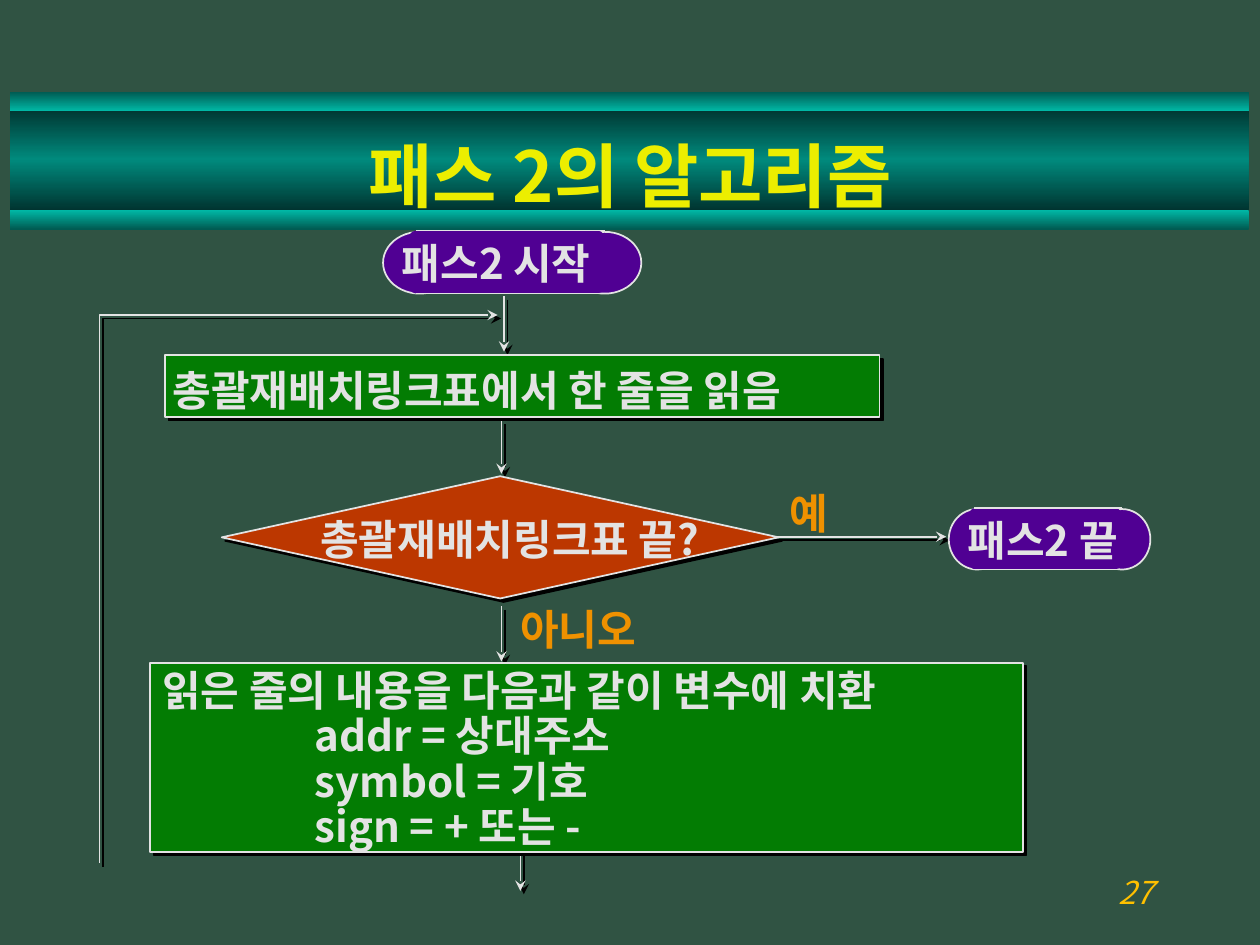
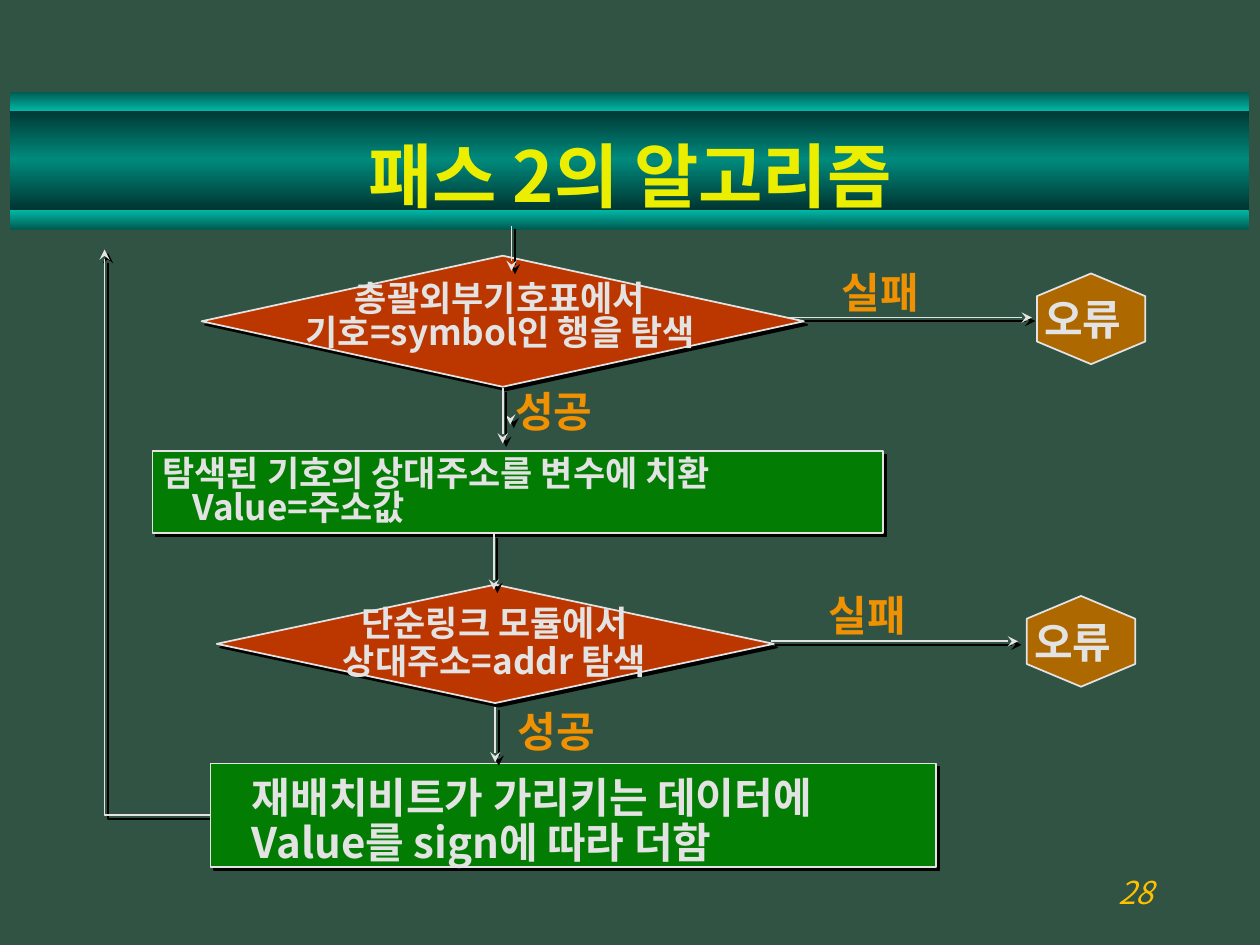
from dataclasses import dataclass

from lxml import etree
from pptx import Presentation
from pptx import util as u
from pptx.dml.color import RGBColor
from pptx.enum import shapes, text
from pptx.oxml import ns

SHAPE = shapes.MSO_SHAPE
ALIGN = text.PP_ALIGN
Inches = u.Inches


@dataclass(frozen=True)
class Theme:
    font: str = "Noto Sans CJK KR"
    background: str = "305343"
    ink: str = "E3E3E3"
    title: str = "ECEE00"
    number: str = "FFC000"
    answer: str = "EF9100"
    process: str = "037C03"
    decision: str = "BC3700"
    terminal: str = "500093"
    error: str = "AD6900"
    shadow: str = "000000"
    band: tuple = ((0, "00322E"), (50, "008A7D"), (100, "00322E"))
    upper_edge: tuple = ((0, "005B52"), (100, "00B7A5"))
    lower_edge: tuple = ((0, "00B7A5"), (100, "005B52"))
    title_size: int = 40
    body_size: int = 24
    small_size: int = 20
    number_size: int = 18


def rgb(value):
    return RGBColor.from_string(value)


def sub(parent, tag, **attrs):
    return etree.SubElement(parent, ns.qn(tag), **attrs)


class FlowSlide:
    """Draws flowchart elements on one slide in the shared style."""

    def __init__(self, prs, theme, title, number):
        self.theme = theme
        self.s = prs.slides.add_slide(prs.slide_layouts[6])
        fill = self.s.background.fill
        fill.solid()
        fill.fore_color.rgb = rgb(theme.background)
        # Title bands
        self.band(0.85, 0.83, theme.band)
        self.band(1.67, 0.15, theme.lower_edge)
        self.band(0.73, 0.15, theme.upper_edge)
        # Title and slide number
        middle = text.MSO_ANCHOR.MIDDLE
        self.text(0.75, 0.98, 8.5, 0.81, [title], theme.title_size, theme.title,
                  align=ALIGN.CENTER, spacing=1, anchor=middle)
        self.text(7.17, 6.83, 2.08, 0.5, [str(number)], theme.number_size, theme.number,
                  align=ALIGN.RIGHT, spacing=1, anchor=middle, heading=False)

    def band(self, top, height, stops):
        sp = self.shape(SHAPE.RECTANGLE, 0.08, top, 9.83, height, outline=False)
        sp.fill.gradient()
        sp.fill.gradient_angle = 270
        gs_list = next(sp.element.spPr.iter(ns.qn("a:gsLst")))
        for gs in list(gs_list):
            gs_list.remove(gs)
        for position, color in stops:
            gs = sub(gs_list, "a:gs", pos=str(position * 1000))
            sub(gs, "a:srgbClr", val=color)

    def add_shadow(self, effects):
        outer = sub(effects, "a:outerShdw", blurRad="0", dist=str(u.Pt(2.8)),
                    dir="2700000", algn="ctr", rotWithShape="0")
        sub(outer, "a:srgbClr", val=self.theme.shadow)

    def outline(self, sp):
        sp.line.color.rgb = rgb(self.theme.ink)
        sp.line.width = u.Pt(1)

    def shape(self, kind, x, y, w, h, color=None, outline=True, shadow=False, parent=None):
        sp = (parent or self.s).shapes.add_shape(
            kind, Inches(x), Inches(y), Inches(w), Inches(h))
        sp.shadow.inherit = False
        if color:
            sp.fill.solid()
            sp.fill.fore_color.rgb = rgb(color)
        if outline:
            self.outline(sp)
        else:
            sp.line.fill.background()
        if shadow:
            self.add_shadow(sp.element.spPr.find(ns.qn("a:effectLst")))
        return sp

    def process(self, x, y, w, h):
        self.shape(SHAPE.RECTANGLE, x, y, w, h, self.theme.process, shadow=True)

    def decision(self, x, y, w, h):
        self.shape(SHAPE.DIAMOND, x, y, w, h, self.theme.decision, shadow=True)

    def line(self, start, end, parent=None):
        points = [Inches(v) for v in (*start, *end)]
        cx = (parent or self.s).shapes.add_connector(shapes.MSO_CONNECTOR.STRAIGHT, *points)
        self.outline(cx)
        return cx, sub(cx.element.spPr, "a:effectLst")

    def arrow(self, start, end):
        cx, effects = self.line(start, end)
        sub(cx.line._get_or_add_ln(), "a:tailEnd", type="stealth")
        self.add_shadow(effects)

    def elbow(self, *points):
        """Bent arrow that ends at the last point."""
        start, *rest = [(Inches(x), Inches(y)) for x, y in points]
        builder = self.s.shapes.build_freeform(*start)
        builder.add_line_segments(rest, close=False)
        sp = builder.convert_to_shape()
        sp.fill.background()
        self.outline(sp)
        sub(sp.line._get_or_add_ln(), "a:tailEnd", type="stealth")
        sp.shadow.inherit = False
        self.add_shadow(sp.element.spPr.find(ns.qn("a:effectLst")))

    def terminal(self, x, y, w, h, cap, caption):
        """Pill made of two round caps, a body and two edge lines."""
        group = self.s.shapes.add_group_shape()
        color = self.theme.terminal
        for left in (x, x + w - cap):
            self.shape(SHAPE.OVAL, left, y + 0.01, cap, h - 0.01, color, parent=group)
        body = self.shape(SHAPE.ROUNDED_RECTANGLE, x + 0.35 * cap, y, w - 0.85 * cap, h,
                          color, outline=False, parent=group)
        body.adjustments[0] = 0.125
        for edge in (y, y + h):
            self.line((x + 0.45 * cap, edge), (x + w - 0.5 * cap, edge), group)
        self.text(x + 0.05, y + 0.08, w, 0.42, [caption])

    def error(self, x, y, caption):
        sp = self.shape(SHAPE.HEXAGON, x, y, 0.72, 0.86, self.theme.error)
        sp.rotation = 270
        self.text(x - 0.11, y + 0.26, 0.96, 0.42, [caption])

    def answer(self, x, y, caption):
        self.text(x, y, 1.37, 0.36, [caption], color=self.theme.answer)

    def text(self, x, y, w, h, lines, size=None, color=None, align=ALIGN.LEFT,
             spacing=0.8, anchor=text.MSO_ANCHOR.TOP, heading=True, indent=0):
        """Heading text is bold with a shadow; indent applies after the first line."""
        theme = self.theme
        tf = self.s.shapes.add_textbox(Inches(x), Inches(y), Inches(w), Inches(h)).text_frame
        tf.word_wrap = True
        tf.vertical_anchor = anchor
        tf.text = "\n".join(lines)
        for i, p in enumerate(tf.paragraphs):
            p.alignment = align
            p.line_spacing = spacing
            if i and indent:
                p._p.get_or_add_pPr().set("marL", str(Inches(indent)))
            for r in p.runs:
                font = r.font
                font.size = u.Pt(size or theme.body_size)
                font.bold = heading
                font.italic = not heading
                font.color.rgb = rgb(color or theme.ink)
                props = r._r.get_or_add_rPr()
                if heading:
                    self.add_shadow(sub(props, "a:effectLst"))
                sub(props, "a:latin", typeface=theme.font)
                sub(props, "a:ea", typeface=theme.font)


def draw_reading(prs, theme, title):
    s = FlowSlide(prs, theme, title, 27)
    # Arrows
    s.arrow((6.06, 4.26), (7.51, 4.26))
    for x, top, bottom in ((4, 2.35, 2.79), (3.98, 3.34, 3.76),
                           (3.98, 4.81, 5.25), (4.13, 6.64, 7.07)):
        s.arrow((x, top), (x, bottom))
    s.elbow((0.79, 6.85), (0.79, 2.5), (3.95, 2.5))
    # Start and end
    s.terminal(3.04, 1.83, 2.05, 0.5, 0.58, "패스2 시작")
    s.terminal(7.53, 4.03, 1.6, 0.49, 0.45, "패스2 끝")
    # Read one line
    s.process(1.31, 2.82, 5.67, 0.49)
    s.text(1.27, 2.92, 5.92, 0.38, ["총괄재배치링크표에서 한 줄을 읽음"])
    # End of table?
    s.decision(1.76, 3.78, 4.42, 0.97)
    s.text(2.16, 4.03, 3.77, 0.69, ["총괄재배치링크표 끝?"], align=ALIGN.CENTER, spacing=1)
    s.answer(6.17, 3.9, "예")
    s.answer(4.03, 4.82, "아니오")
    # Assign variables
    s.process(1.19, 5.26, 6.93, 1.5)
    s.text(1.19, 5.27, 7.33, 1.25,
           ["읽은 줄의 내용을 다음과 같이 변수에 치환", "addr = 상대주소",
            "symbol = 기호", "sign = + 또는 -"], spacing=0.9, indent=1.21)


def draw_searching(prs, theme, title):
    s = FlowSlide(prs, theme, title, 28)
    small = theme.small_size
    # Return path and failure arrows
    s.elbow((2.03, 6.47), (0.83, 6.47), (0.83, 1.98))
    s.arrow((6.12, 5.09), (8.08, 5.09))
    s.arrow((6.23, 2.52), (8.19, 2.52))
    # Symbol search
    s.decision(1.6, 2.03, 4.78, 1.04)
    s.text(1.85, 2.21, 4.24, 0.69, ["총괄외부기호표에서", "기호=symbol인 행을 탐색"],
           small, align=ALIGN.CENTER)
    # Symbol address
    s.process(1.21, 3.58, 5.8, 0.65)
    s.text(1.19, 3.6, 5.49, 0.59, ["탐색된 기호의 상대주소를 변수에 치환", "Value=주소값"],
           small, indent=0.24)
    # Module search
    s.decision(1.72, 4.64, 4.42, 0.94)
    s.text(2.04, 4.76, 3.77, 0.69, ["단순링크 모듈에서", "상대주소=addr 탐색"],
           small, align=ALIGN.CENTER, spacing=0.9)
    # Add the value
    s.process(1.67, 6.06, 5.76, 0.82)
    s.text(1.9, 6.12, 5.67, 0.62, ["재배치비트가 가리키는 데이터에", "Value를 sign에 따라 더함"],
           spacing=0.9)
    # Errors and answers
    for x, y in ((8.3, 2.1), (8.22, 4.66)):
        s.error(x, y, "오류")
    for x, y, caption in ((6.58, 2.14, "실패"), (6.48, 4.71, "실패"),
                          (3.99, 3.09, "성공"), (4.01, 5.63, "성공")):
        s.answer(x, y, caption)
    # Downward arrows
    for x, top, bottom in ((4.06, 1.79, 2.15), (4.05, 3.35, 3.37), (3.99, 3.08, 3.52),
                           (3.92, 4.24, 4.68), (3.93, 5.61, 6.05)):
        s.arrow((x, top), (x, bottom))


def main():
    prs = Presentation()
    prs.slide_width, prs.slide_height = Inches(10), Inches(7.5)
    theme = Theme()
    title = "패스 2의 알고리즘"
    draw_reading(prs, theme, title)
    draw_searching(prs, theme, title)
    prs.save("out.pptx")


if __name__ == "__main__":
    main()
